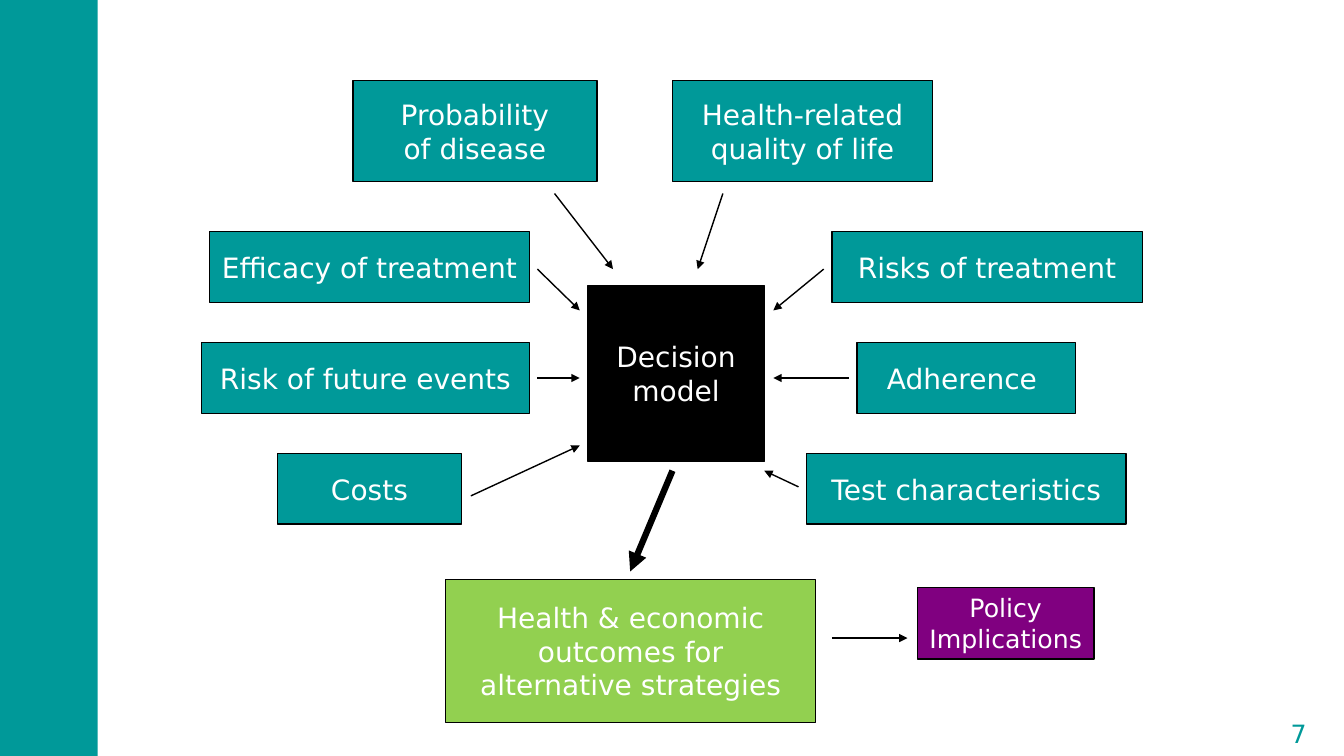
from dataclasses import dataclass

from lxml import etree
from pptx import Presentation
from pptx.dml.color import RGBColor
from pptx.enum.shapes import MSO_CONNECTOR, MSO_SHAPE
from pptx.enum.text import MSO_ANCHOR, MSO_AUTO_SIZE, PP_ALIGN
from pptx.oxml.ns import qn
from pptx.util import Inches, Pt

RECT = MSO_SHAPE.RECTANGLE
BRACKETS = MSO_SHAPE.DOUBLE_BRACKET
STRAIGHT = MSO_CONNECTOR.STRAIGHT
CENTER = PP_ALIGN.CENTER
MIDDLE, TOP = MSO_ANCHOR.MIDDLE, MSO_ANCHOR.TOP
FIT_SHAPE = MSO_AUTO_SIZE.SHAPE_TO_FIT_TEXT

TEAL = RGBColor(0x00, 0x99, 0x99)
BLACK = RGBColor(0x00, 0x00, 0x00)
WHITE = RGBColor(0xFF, 0xFF, 0xFF)
PURPLE = RGBColor(0x80, 0x00, 0x80)
GREEN = RGBColor(0x92, 0xD0, 0x50)
FONT = "DejaVu Sans"


@dataclass
class Box:
    text: str
    left: float
    top: float
    width: float
    height: float = 0.7
    fill: RGBColor = TEAL
    size: int = 20


@dataclass
class Arrow:
    x1: float
    y1: float
    x2: float
    y2: float
    weight: float = 1


# Rows of model inputs
ROW_1, ROW_2, ROW_3, ROW_4 = 0.8, 2.3, 3.4, 4.5

MODEL = Box("Decision\nmodel", 5.83, 2.83, 1.75, 1.75, BLACK)
POLICY = Box("Policy\nImplications", 9.1, 5.83, 1.75, 0.71, PURPLE, 18)
OUTCOMES = Box("Health & economic\noutcomes for\nalternative strategies",
               4.42, 5.75, 3.67, 1.42, GREEN)
INPUTS = [
    Box("Efficacy of treatment", 2.08, ROW_2, 3.17),
    Box("Risk of future events", 2, ROW_3, 3.25),
    Box("Probability\nof disease", 3.5, ROW_1, 2.42, 1),
    Box("Costs", 2.75, ROW_4, 1.83),
    Box("Test characteristics", 8, ROW_4, 3.17),
    Box("Risks of treatment", 8.25, ROW_2, 3.08),
    Box("Health-related\nquality of life", 6.67, ROW_1, 2.58, 1),
    Box("Adherence ", 8.5, ROW_3, 2.17),
]
ARROWS = [
    Arrow(5.5, 1.92, 6.08, 2.67),
    Arrow(7.17, 1.92, 6.92, 2.67),
    Arrow(5.33, 2.67, 5.75, 3.08),
    Arrow(5.33, 3.75, 5.75, 3.75),
    Arrow(4.67, 4.92, 5.75, 4.42),
    Arrow(8.17, 2.67, 7.67, 3.08),
    Arrow(8.42, 3.75, 7.67, 3.75),
    Arrow(7.92, 4.83, 7.58, 4.67),
    Arrow(6.67, 4.67, 6.25, 5.67, 4.5),
    Arrow(8.25, 6.33, 9, 6.33),
]


def add_plain_shape(s, kind, left: float, top: float, width: float, height: float):
    sp = s.shapes.add_shape(kind, Inches(left), Inches(top),
                            Inches(width), Inches(height))
    sp.shadow.inherit = False
    return sp


def set_text(sp, text: str, size: int, color: RGBColor) -> None:
    tf = sp.text_frame
    tf.text = text
    tf.vertical_anchor = MIDDLE
    for p in tf.paragraphs:
        p.alignment = CENTER
        p.font.name = FONT
        p.font.size = Pt(size)
        p.font.color.rgb = color


def add_box(s, box: Box):
    sp = add_plain_shape(s, RECT, box.left, box.top, box.width, box.height)
    sp.fill.solid()
    sp.fill.fore_color.rgb = box.fill
    sp.line.color.rgb = BLACK
    sp.line.width = Pt(1)
    set_text(sp, box.text, box.size, WHITE)
    sp.text_frame.word_wrap = False
    return sp


def add_arrow(s, arrow: Arrow) -> None:
    cxn = s.shapes.add_connector(STRAIGHT, Inches(arrow.x1), Inches(arrow.y1),
                                 Inches(arrow.x2), Inches(arrow.y2))
    cxn.line.color.rgb = BLACK
    cxn.line.width = Pt(arrow.weight)
    sp_pr = cxn.element.spPr
    etree.SubElement(sp_pr.find(qn("a:ln")), qn("a:tailEnd"), type="triangle")
    etree.SubElement(sp_pr, qn("a:effectLst"))


def add_sidebar(s) -> None:
    sp = add_plain_shape(s, RECT, -0.03, 0, 1, 7.5)
    sp.fill.solid()
    sp.fill.fore_color.rgb = TEAL
    sp.line.fill.background()


def add_slide_number(s, number: int) -> None:
    sp = add_plain_shape(s, BRACKETS, 12.48, 7.06, 0.8, 0.43)
    sp.adjustments[0] = 0.18
    sp.fill.background()
    sp.line.color.rgb = WHITE
    sp.line.width = Pt(1.5)
    set_text(sp, str(number), 18, TEAL)
    tf = sp.text_frame
    tf.margin_left = tf.margin_right = tf.margin_top = tf.margin_bottom = 0


def main() -> None:
    prs = Presentation()
    prs.slide_width, prs.slide_height = Inches(13.33), Inches(7.5)
    s = prs.slides.add_slide(prs.slide_layouts[6])

    add_sidebar(s)

    # Model and policy
    add_box(s, MODEL)
    policy = add_box(s, POLICY)
    policy.text_frame.vertical_anchor = TOP
    policy.text_frame.auto_size = FIT_SHAPE

    # Inputs and flow
    for box in INPUTS:
        add_box(s, box)
    for arrow in ARROWS:
        add_arrow(s, arrow)

    add_box(s, OUTCOMES)
    add_slide_number(s, 7)
    prs.save("out.pptx")


if __name__ == "__main__":
    main()
